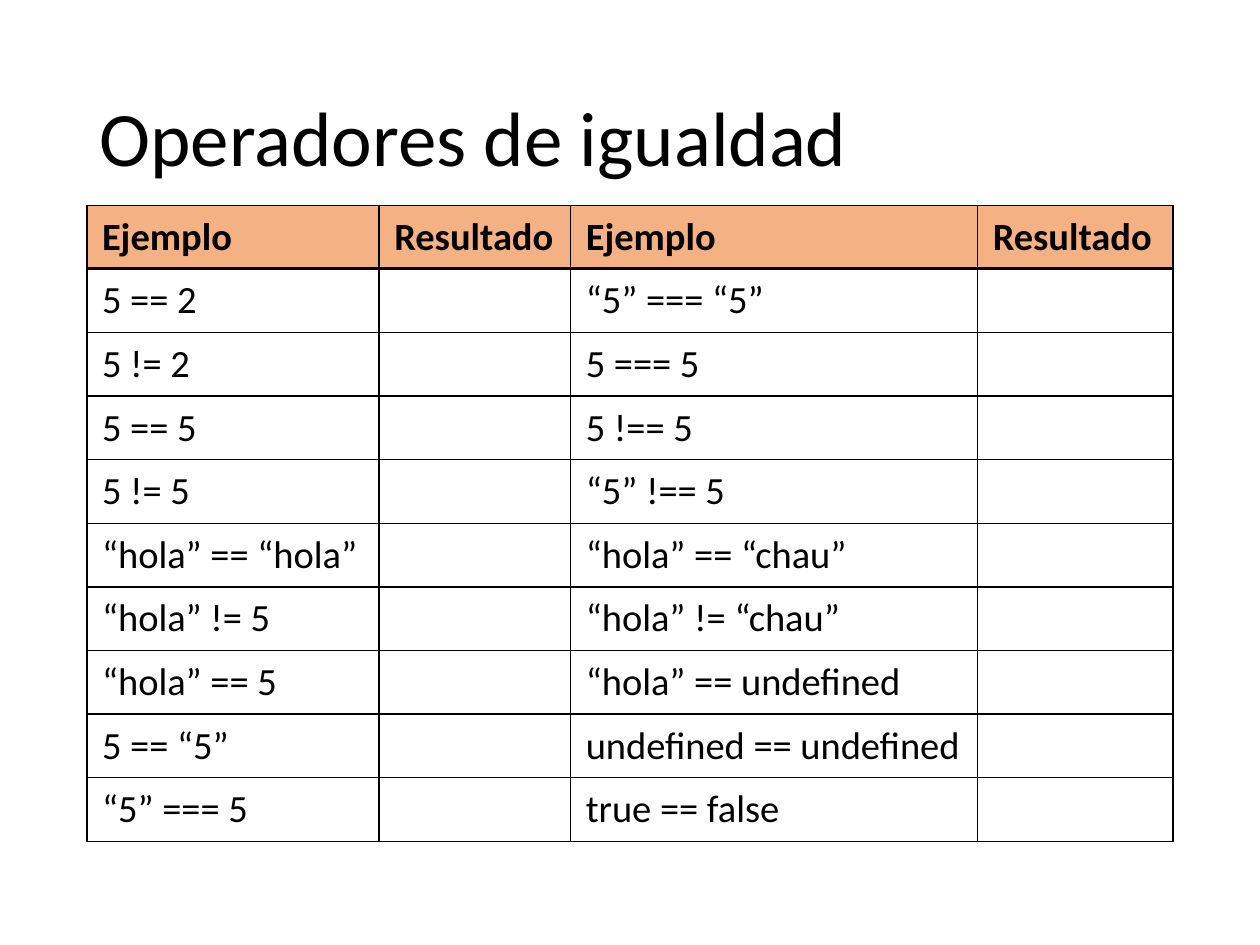
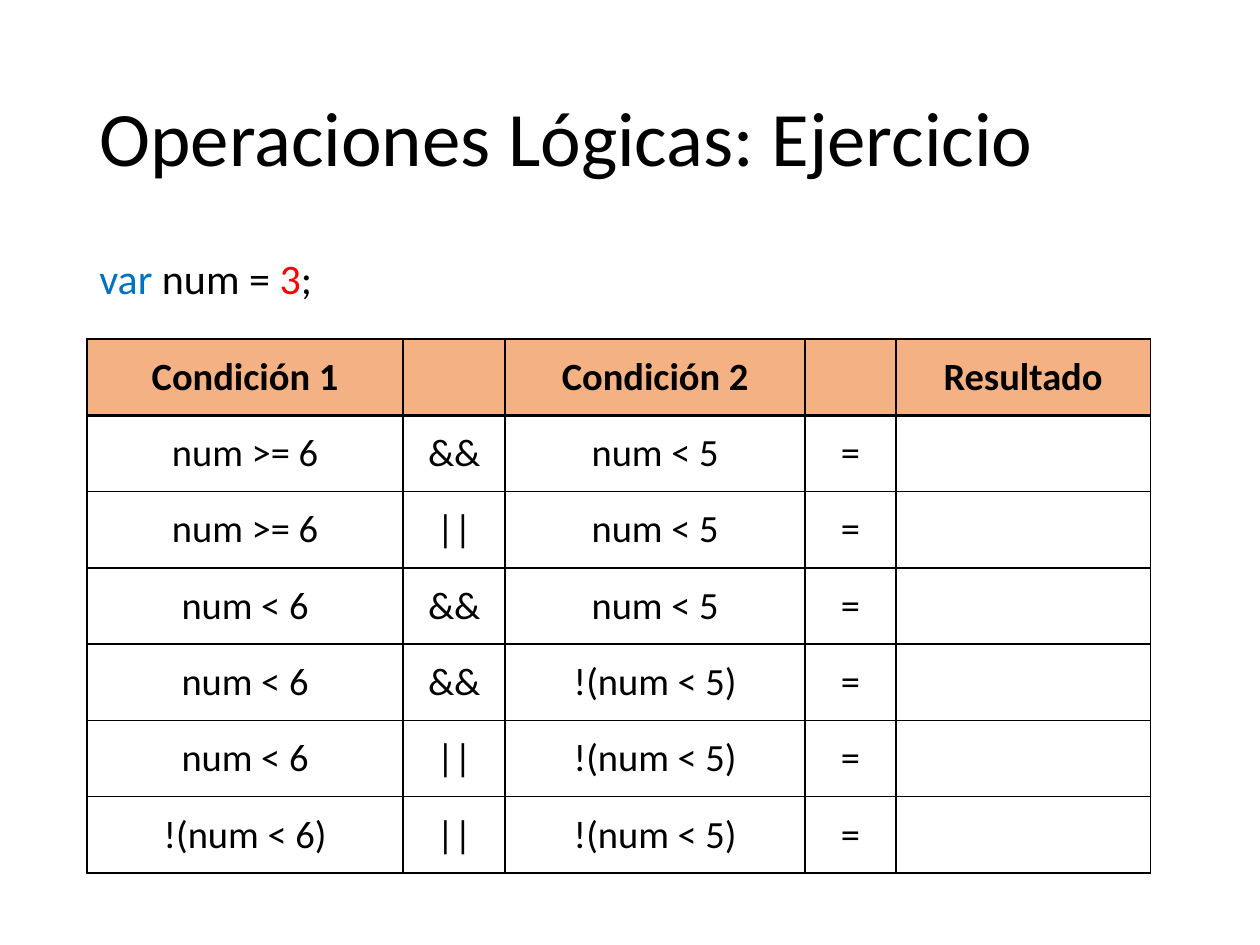
from lxml.etree import SubElement as Sub
from pptx import Presentation as Deck
from pptx.dml.color import RGBColor as Rgb
from pptx.enum.text import MSO_ANCHOR as Anchor, PP_ALIGN as Align
from pptx.oxml import parse_xml
from pptx.oxml.ns import qn
from pptx.util import Inches, Pt

BLACK, WHITE, PEACH, BLUE, RED = "000000", "FFFFFF", "F4B183", "0070C0", "FF0000"
LEFT, WIDE = 0.69, 8.62
PADS = {"margin_left": 0.12, "margin_right": 0.12,
        "margin_top": 0.06, "margin_bottom": 0.06}


def tint(code):
    """Turn a hex string into a colour."""
    return Rgb.from_string(code)


class Page:
    """Holds the shared style and the current slide."""

    face = "Calibri"

    def __init__(self, deck):
        """Add a blank white slide."""
        self.slide = deck.slides.add_slide(deck.slide_layouts[6])
        fill = self.slide.background.fill
        fill.solid()
        fill.fore_color.rgb = tint(WHITE)

    def run(self, para, text, size, code=BLACK, bold=False):
        """Add one styled run to a paragraph."""
        run = para.add_run()
        run.text = text
        looks = {"name": self.face, "size": Pt(size), "bold": bold}
        for key, value in looks.items():
            setattr(run.font, key, value)
        run.font.color.rgb = tint(code)

    def text(self, top, high, parts, size, anchor=Anchor.TOP, before=0):
        """Add a full-width line made of (text, colour) parts."""
        box = self.slide.shapes.add_textbox(
            Inches(LEFT), Inches(top), Inches(WIDE), Inches(high))
        frame = box.text_frame
        frame.word_wrap = True
        frame.vertical_anchor = anchor
        para = frame.paragraphs[0]
        para.line_spacing = 0.9
        para.space_before = Pt(before)
        for part, code in parts:
            self.run(para, part, size, code)

    def title(self, words):
        """Add the slide title."""
        self.text(0.4, 1.45, [(words, BLACK)], 44, Anchor.MIDDLE)

    def edges(self, cell, row):
        """Draw the cell borders, with a thick rule under the header."""
        props = cell._tc.get_or_add_tcPr()
        widths = {"lnL": 1, "lnR": 1, "lnT": 2 if row == 1 else 1,
                  "lnB": 2 if row == 0 else 1}
        for spot, (tag, width) in enumerate(widths.items()):
            line = parse_xml(
                f'<a:{tag} xmlns:a="http://schemas.openxmlformats.org/'
                f'drawingml/2006/main" w="{Pt(width)}"/>')
            fill = Sub(line, qn("a:solidFill"))
            Sub(fill, qn("a:srgbClr"), val=BLACK)
            props.insert(spot, line)

    def cell(self, cell, row, text, align):
        """Fill, frame and write one table cell."""
        for key, value in PADS.items():
            setattr(cell, key, Inches(value))
        cell.vertical_anchor = Anchor.MIDDLE
        cell.fill.solid()
        cell.fill.fore_color.rgb = tint(WHITE if row else PEACH)
        self.edges(cell, row)
        para = cell.text_frame.paragraphs[0]
        para.alignment = align
        if text:
            self.run(para, text, 22, bold=row == 0)

    def table(self, top, high, cols, rows, align=Align.LEFT):
        """Add a table with equal rows and a header."""
        grid = self.slide.shapes.add_table(
            len(rows), len(cols), Inches(LEFT), Inches(top),
            Inches(sum(cols)), Inches(high)).table
        for col, width in zip(grid.columns, cols):
            col.width = Inches(width)
        for r, texts in enumerate(rows):
            grid.rows[r].height = Inches(high / len(rows))
            for c, text in enumerate(texts):
                self.cell(grid.cell(r, c), r, text, align)


deck = Deck()
deck.slide_width, deck.slide_height = Inches(10), Inches(7.5)

pairs = [
    ("5 == 2", "“5” === “5”"),
    ("5 != 2", "5 === 5"),
    ("5 == 5", "5 !== 5"),
    ("5 != 5", "“5” !== 5"),
    ("“hola” == “hola”", "“hola” == “chau”"),
    ("“hola” != 5", "“hola” != “chau”"),
    ("“hola” == 5", "“hola” == undefined"),
    ("5 == “5”", "undefined == undefined"),
    ("“5” === 5", "true == false"),
]
page = Page(deck)
page.title("Operadores de igualdad")
page.table(1.63, 5.05, [2.32, 1.52, 3.23, 1.55],
           [("Ejemplo", "Resultado") * 2]
           + [(left, "", right, "") for left, right in pairs])

tests = [
    ("num >= 6", "&&", "num < 5"),
    ("num >= 6", "||", "num < 5"),
    ("num < 6", "&&", "num < 5"),
    ("num < 6", "&&", "!(num < 5)"),
    ("num < 6", "||", "!(num < 5)"),
    ("!(num < 6)", "||", "!(num < 5)"),
]
page = Page(deck)
page.title("Operaciones Lógicas: Ejercicio")
page.table(2.69, 4.24, [2.51, 0.81, 2.38, 0.72, 2.02],
           [("Condición 1", "", "Condición 2", "", "Resultado")]
           + [test + ("=", "") for test in tests], Align.CENTER)
page.text(2, 0.55, [("var ", BLUE), ("num = ", BLACK), ("3", RED), (";", BLACK)],
          24, before=10)

deck.save("out.pptx")
